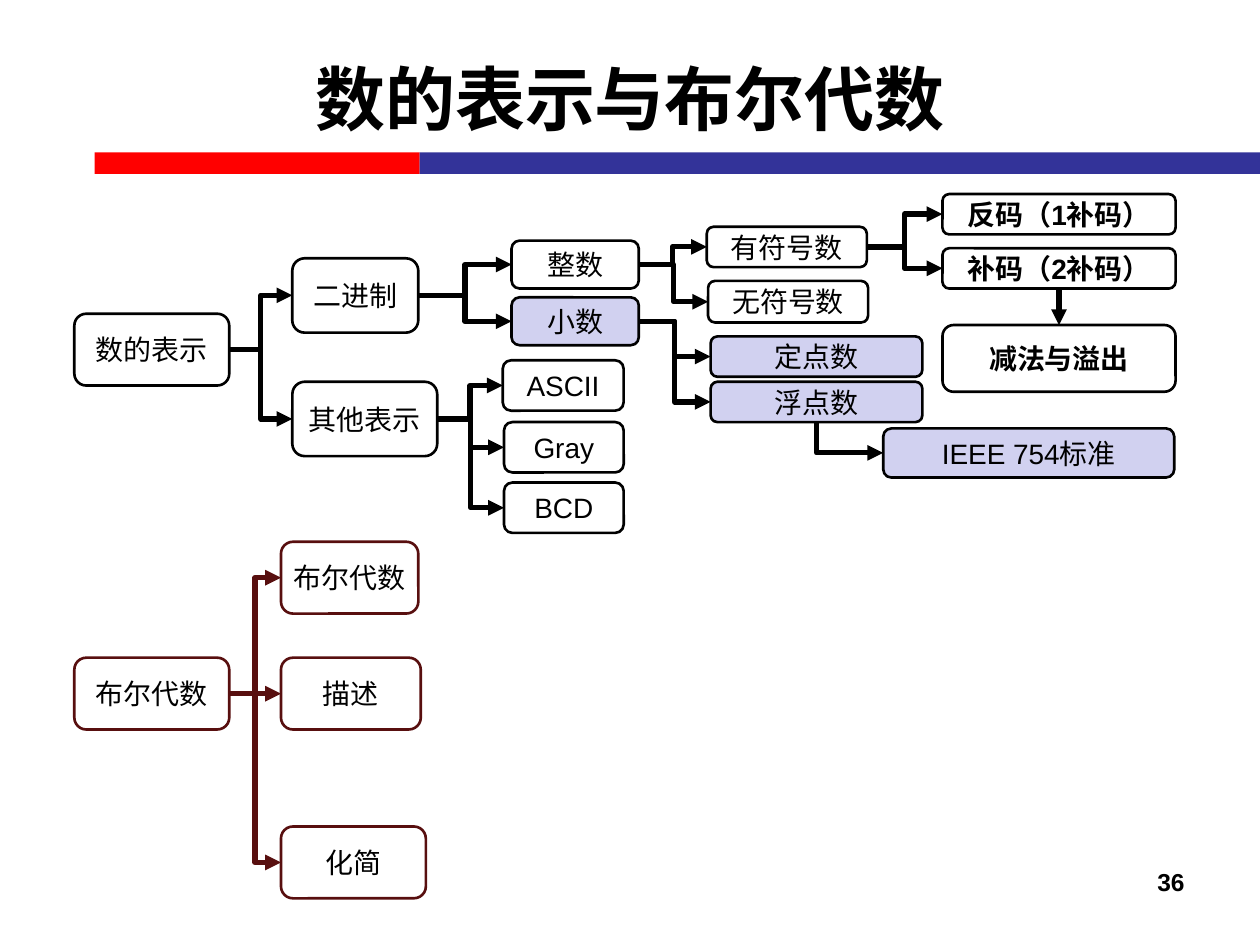
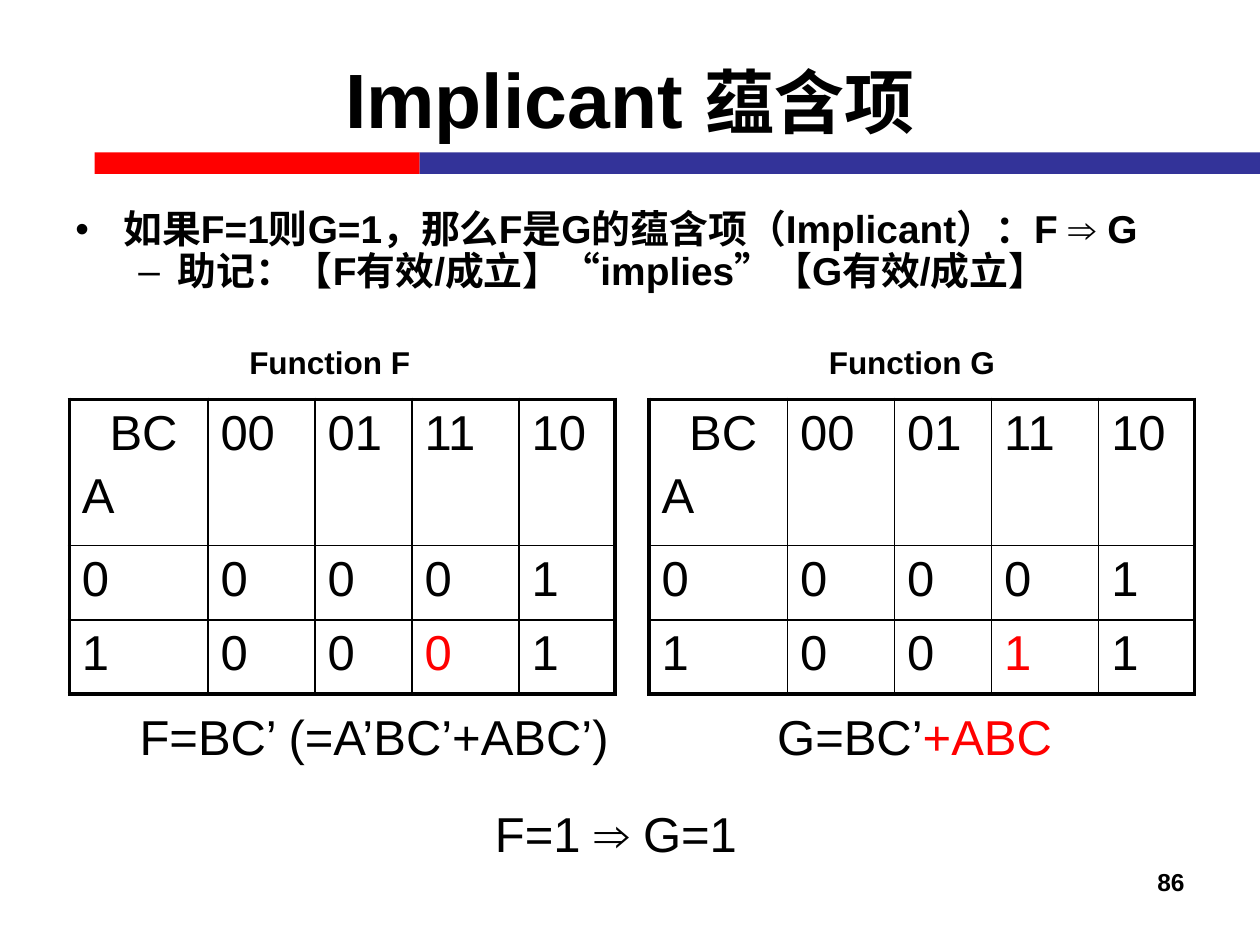
from lxml import etree
from pptx import Presentation
from pptx import util as u
from pptx.dml.color import RGBColor
from pptx.enum import shapes, text
from pptx.oxml.ns import qn

FONT = "Arial"
COLORS = {
    "ink": "000000", "paper": "FFFFFF", "red": "FF0000",
    "blue": "333399", "lilac": "D1D1F0", "maroon": "580F0F",
}
BANDS = [("red", 0.75, 2.58), ("blue", 3.33, 6.67)]  # colour, left, width

# Topic map: key -> (label, left, top, width, height)
NUMBER_TOPICS = {
    "numbers": ("数的表示", 0.59, 2.49, 1.23, 0.57),
    "binary": ("二进制", 2.32, 2.05, 1, 0.59),
    "others": ("其他表示", 2.32, 3.03, 1.15, 0.59),
    "integer": ("整数", 4.06, 1.91, 1.01, 0.38),
    "fraction": ("小数", 4.06, 2.36, 1.01, 0.38),
    "ascii": ("ASCII", 3.99, 2.86, 0.96, 0.4),
    "gray": ("Gray", 4, 3.35, 0.95, 0.4),
    "bcd": ("BCD", 4, 3.83, 0.95, 0.4),
    "signed": ("有符号数", 5.61, 1.8, 1.27, 0.32),
    "unsigned": ("无符号数", 5.62, 2.23, 1.27, 0.33),
    "fixed": ("定点数", 5.64, 2.67, 1.68, 0.32),
    "floating": ("浮点数", 5.64, 3.03, 1.68, 0.32),
    "ones": ("反码（1补码）", 7.48, 1.54, 1.85, 0.32),
    "twos": ("补码（2补码）", 7.48, 1.97, 1.85, 0.32),
    "overflow": ("减法与溢出", 7.48, 2.58, 1.85, 0.53),
    "ieee": ("IEEE 754标准", 7.01, 3.4, 2.31, 0.39),
}
BOOLEAN_TOPICS = {
    "boolean": ("布尔代数", 0.59, 5.22, 1.23, 0.57),
    "algebra": ("布尔代数", 2.23, 4.3, 1.09, 0.57),
    "description": ("描述", 2.23, 5.22, 1.11, 0.57),
    "reduction": ("化简", 2.23, 6.56, 1.15, 0.57),
}
HIGHLIGHTED = {"fraction", "fixed", "floating", "ieee"}
BOLD = {"ones", "twos", "overflow"}
BRANCHES = {
    "numbers": ["binary", "others"],
    "binary": ["integer", "fraction"],
    "others": ["ascii", "gray", "bcd"],
    "integer": ["signed", "unsigned"],
    "fraction": ["fixed", "floating"],
    "signed": ["ones", "twos"],
    "boolean": ["algebra", "description", "reduction"],
}
TOP, LEFT, BOTTOM, RIGHT = range(4)  # connection sites of a box

# Bullet, left margin, hanging indent, wording
IMPLICANT_POINTS = [
    ("•", 0.38, -0.38, "如果F=1则G=1，那么F是G的蕴含项（Implicant）：F ⇒ G"),
    ("–", 0.81, -0.31, "助记：【F有效/成立】“implies”【G有效/成立】"),
]
MAP_HEADER = ["00", "01", "11", "10"]
MAP_COLUMNS = [1.1, 0.85, 0.77, 0.85, 0.76]
MAP_ROWS = [1.16, 0.59, 0.59]
CHANGED_CELL = (2, 3)
KARNAUGH_MAPS = [
    (0.55, [["0", "0", "0", "0", "1"], ["1", "0", "0", "0", "1"]]),
    (5.15, [["0", "0", "0", "0", "1"], ["1", "0", "0", "1", "1"]]),
]
# left, top, width, height, size, bold, runs
CAPTIONS = [
    (1.88, 2.67, 1.49, 0.4, 18, True, [("Function F", "ink")]),
    (6.48, 2.67, 1.53, 0.4, 18, True, [("Function G", "ink")]),
    (1.01, 5.56, 3.97, 0.57, 28, False, [("F=BC’ (=A’BC’+ABC’)", "ink")]),
    (6.07, 5.56, 2.49, 0.57, 28, False, [("G=BC’", "ink"), ("+ABC", "red")]),
    (3.83, 6.33, 2.25, 0.57, 28, False, [("F=1 ⇒ G=1", "ink")]),
]


def rgb(name):
    return RGBColor.from_string(COLORS[name])


def inches(*lengths):
    return [u.Inches(length) for length in lengths]


def add_run(paragraph, wording, size, bold=False, color="ink"):
    run = paragraph.add_run()
    run.text = wording
    run.font.name = FONT
    run.font.size = u.Pt(size)
    run.font.bold = bold
    run.font.color.rgb = rgb(color)


def add_text_frame(slide, *place, wrap=True):
    frame = slide.shapes.add_textbox(*inches(*place)).text_frame
    frame.word_wrap = wrap
    return frame


def add_filled_shape(slide, kind, place, fill):
    shape = slide.shapes.add_shape(kind, *inches(*place))
    shape.shadow.inherit = False
    shape.fill.solid()
    shape.fill.fore_color.rgb = rgb(fill)
    return shape


def start_slide(deck, title_runs, number):
    """Add a slide with the shared bands, title and page number."""
    slide = deck.slides.add_slide(deck.slide_layouts[5])
    for color, left, width in BANDS:
        band = add_filled_shape(slide, shapes.MSO_SHAPE.RECTANGLE,
                                (left, 1.21, width, 0.17), color)
        band.line.fill.background()

    title = slide.shapes.title
    title.left, title.top, title.width, title.height = inches(0.5, 0.15, 9, 1.25)
    title.text_frame.vertical_anchor = text.MSO_ANCHOR.MIDDLE
    heading = title.text_frame.paragraphs[0]
    heading.alignment = text.PP_ALIGN.CENTER
    for wording, size in title_runs:
        add_run(heading, wording, size, bold=True)

    page = add_text_frame(slide, 7.17, 6.83, 2.33, 0.52).paragraphs[0]
    page.alignment = text.PP_ALIGN.RIGHT
    add_run(page, number, 14, bold=True)
    return slide


def add_topic(slide, key, topic, outline):
    label, *place = topic
    box = add_filled_shape(slide, shapes.MSO_SHAPE.ROUNDED_RECTANGLE, place,
                           "lilac" if key in HIGHLIGHTED else "paper")
    box.line.color.rgb = rgb(outline)
    box.line.width = u.Pt(1.5)
    frame = box.text_frame
    frame.margin_left = frame.margin_right = 0
    frame.vertical_anchor = text.MSO_ANCHOR.MIDDLE
    frame.paragraphs[0].alignment = text.PP_ALIGN.CENTER
    add_run(frame.paragraphs[0], label, 16, bold=key in BOLD)
    return box


def link(slide, start, start_site, end, end_site, color="ink",
         kind=shapes.MSO_CONNECTOR.ELBOW, arrow="tailEnd"):
    """Join two boxes with an arrow; arrow names the end that has the head."""
    connector = slide.shapes.add_connector(kind, 0, 0, 0, 0)
    connector.begin_connect(start, start_site)
    connector.end_connect(end, end_site)
    connector.line.color.rgb = rgb(color)
    connector.line.width = u.Pt(3)
    line = connector.line._get_or_add_ln()
    etree.SubElement(line, qn("a:" + arrow), type="triangle")
    etree.SubElement(connector._element.spPr, qn("a:effectLst"))
    return connector


def build_topic_map(deck):
    slide = start_slide(deck, [("数的表示与布尔代数", 40)], "36")
    boxes = {}
    for topics, outline in ((NUMBER_TOPICS, "ink"), (BOOLEAN_TOPICS, "maroon")):
        for key, topic in topics.items():
            boxes[key] = add_topic(slide, key, topic, outline)
    for parent, children in BRANCHES.items():
        color = "maroon" if parent in BOOLEAN_TOPICS else "ink"
        for child in children:
            link(slide, boxes[parent], RIGHT, boxes[child], LEFT, color)
    link(slide, boxes["twos"], BOTTOM, boxes["overflow"], TOP,
         kind=shapes.MSO_CONNECTOR.STRAIGHT)
    # One bend: drawn from the standard back to the floating-point box
    corner = link(slide, boxes["ieee"], LEFT, boxes["floating"], BOTTOM,
                  arrow="headEnd")
    corner._element.spPr.find(qn("a:prstGeom")).set("prst", "bentConnector2")


def set_borders(cell, row, column):
    """Thick lines on the outside of the map, thin lines inside."""
    outer = {"lnL": column == 0, "lnR": column == len(MAP_COLUMNS) - 1,
             "lnT": row == 0, "lnB": row == len(MAP_ROWS) - 1}
    properties = cell._tc.get_or_add_tcPr()
    for position, (side, thick) in enumerate(outer.items()):
        line = etree.Element(qn("a:" + side), w=str(u.Pt(2.25 if thick else 1)))
        fill = etree.SubElement(line, qn("a:solidFill"))
        etree.SubElement(fill, qn("a:srgbClr"), val=COLORS["ink"])
        properties.insert(position, line)


def add_karnaugh_map(slide, left, values):
    table = slide.shapes.add_table(
        len(MAP_ROWS), len(MAP_COLUMNS),
        *inches(left, 3.17, sum(MAP_COLUMNS), sum(MAP_ROWS))).table
    table.first_row = table.horz_banding = False
    for column, width in zip(table.columns, MAP_COLUMNS):
        column.width = u.Inches(width)
    for row, height in zip(table.rows, MAP_ROWS):
        row.height = u.Inches(height)

    for r, entries in enumerate([["BC", *MAP_HEADER], *values]):
        for c, entry in enumerate(entries):
            cell = table.cell(r, c)
            cell.fill.solid()
            cell.fill.fore_color.rgb = rgb("paper")
            set_borders(cell, r, c)
            add_run(cell.text_frame.paragraphs[0], entry, 28,
                    color="red" if (r, c) == CHANGED_CELL else "ink")

    corner = table.cell(0, 0).text_frame
    corner.paragraphs[0]._p.get_or_add_pPr().set("indent", str(u.Inches(0.22)))
    row_variable = corner.add_paragraph()
    row_variable.space_before = u.Pt(5)
    add_run(row_variable, "A", 28)


def build_implicant(deck):
    slide = start_slide(deck, [("Implicant ", 44), ("蕴含项", 40)], "86")
    body = add_text_frame(slide, 0.5, 1.62, 8.92, 1.02)
    for level, (bullet, margin, indent, wording) in enumerate(IMPLICANT_POINTS):
        point = body.add_paragraph() if level else body.paragraphs[0]
        point.level = level
        point.line_spacing = 0.9
        properties = point._p.get_or_add_pPr()
        properties.set("marL", str(u.Inches(margin)))
        properties.set("indent", str(u.Inches(indent)))
        etree.SubElement(properties, qn("a:buFont"), typeface=FONT)
        etree.SubElement(properties, qn("a:buChar"), char=bullet)
        add_run(point, wording, 22.2, bold=True)

    for left, values in KARNAUGH_MAPS:
        add_karnaugh_map(slide, left, values)
    for *place, size, bold, runs in CAPTIONS:
        caption = add_text_frame(slide, *place, wrap=False).paragraphs[0]
        for wording, color in runs:
            add_run(caption, wording, size, bold, color)


def main():
    deck = Presentation()
    deck.slide_width, deck.slide_height = inches(10, 7.5)
    build_topic_map(deck)
    build_implicant(deck)
    deck.save("out.pptx")


if __name__ == "__main__":
    main()
